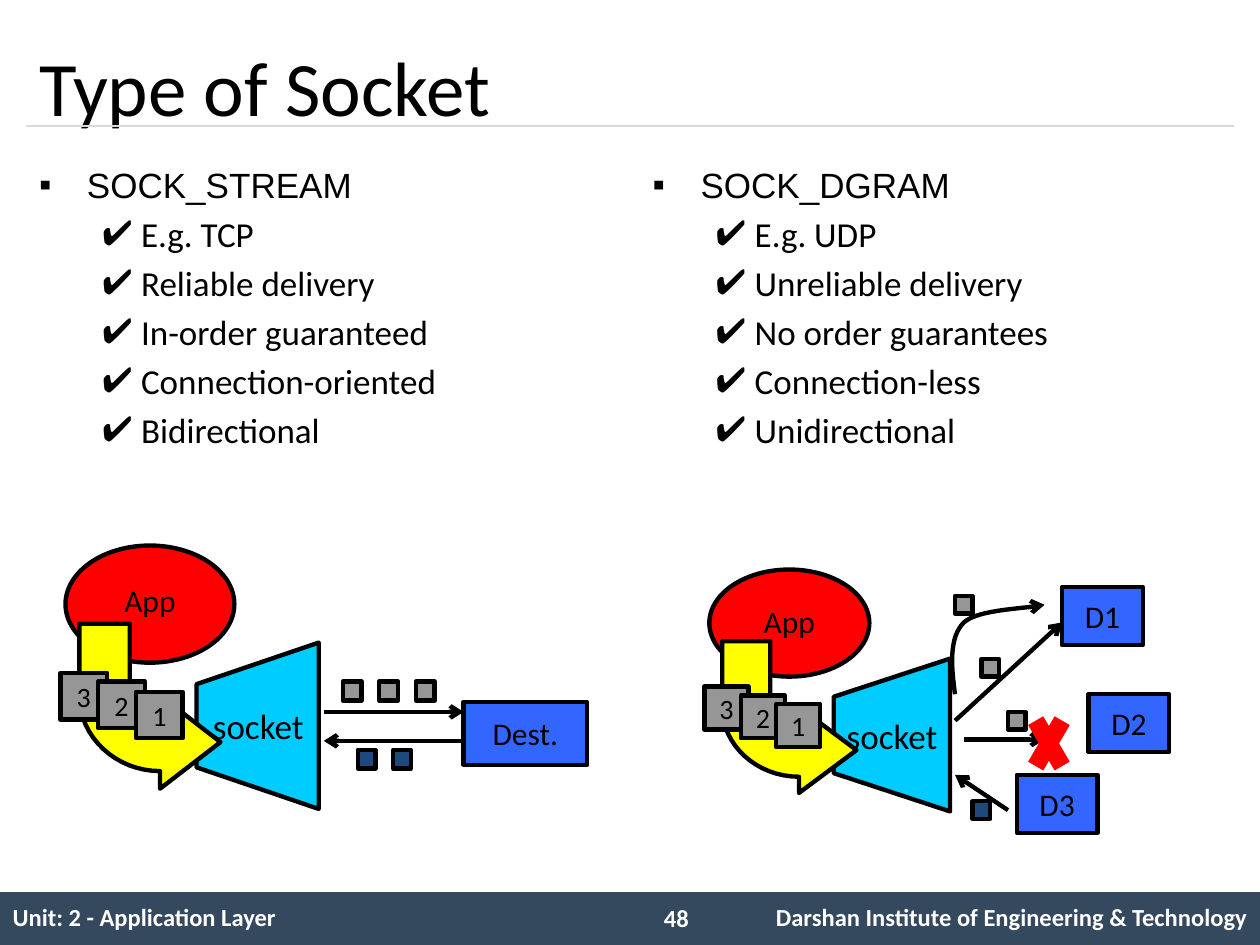
from dataclasses import dataclass
from lxml import etree
from pptx import Presentation
from pptx.dml.color import RGBColor
from pptx.enum.shapes import MSO_CONNECTOR, MSO_SHAPE
from pptx.enum.text import MSO_ANCHOR, MSO_AUTO_SIZE, PP_ALIGN
from pptx.oxml.ns import qn
from pptx.util import Pt

PX = 9144
CURVE_STEPS = 16
RECTANGLE, OVAL = MSO_SHAPE.RECTANGLE, MSO_SHAPE.OVAL
STRAIGHT = MSO_CONNECTOR.STRAIGHT
TOP, MIDDLE = MSO_ANCHOR.TOP, MSO_ANCHOR.MIDDLE
LEFT, CENTER, RIGHT = PP_ALIGN.LEFT, PP_ALIGN.CENTER, PP_ALIGN.RIGHT
NO_AUTOFIT = MSO_AUTO_SIZE.NONE
PLAIN_TABLE_STYLE = "{2D5ABB26-0587-4C30-8999-92F81FD0307C}"


@dataclass(frozen=True)
class Theme:
    black: str = "000000"
    white: str = "FFFFFF"
    footer: str = "34495E"
    rule: str = "D9D9D9"
    app: str = "FF0000"
    socket: str = "00CCFF"
    flow: str = "FFFF00"
    packet: str = "969696"
    reply: str = "1F497D"
    host: str = "3366FF"
    font: str = "Calibri"
    heading_font: str = "Arial"
    title: int = 44
    body: int = 20
    label: int = 18
    number: int = 16
    small: int = 14
    outline: float = 2.5
    hairline: float = 0.75
    cross: int = 10


THEME = Theme()


@dataclass(frozen=True)
class Box:
    left: int
    top: int
    width: int
    height: int

    def inner(self, left, top, width, height, scale=(1, 1)):
        return Box(self.left + round(left * scale[0]), self.top + round(top * scale[1]),
                   round(width * scale[0]), round(height * scale[1]))

    def point(self, x, y, scale=(1, 1)):
        return self.left + x * scale[0], self.top + y * scale[1]

    def emu(self):
        return [value * PX for value in (self.left, self.top, self.width, self.height)]


def set_values(target, values):
    for name, value in values.items():
        setattr(target, name, value)


def write(paragraph, text, size, color=THEME.black, font=THEME.font, bold=False, align=LEFT):
    run = paragraph.add_run()
    run.text = text
    set_values(run.font, {"name": font, "size": Pt(size), "bold": bold})
    run.font.color.rgb = RGBColor.from_string(color)
    paragraph.alignment = align


def set_line(line, color=THEME.black, width=THEME.outline):
    line.color.rgb = RGBColor.from_string(color)
    line.width = Pt(width)


def add_arrowhead(shape):
    line = shape.line._get_or_add_ln()
    etree.SubElement(line, qn("a:tailEnd"), type="arrow")


def paint(shape, fill, outlined=True):
    shape.shadow.inherit = False
    if fill:
        shape.fill.solid()
        shape.fill.fore_color.rgb = RGBColor.from_string(fill)
    else:
        shape.fill.background()
    if outlined:
        set_line(shape.line)
    else:
        shape.line.fill.background()


def add_block(slide, box, fill, text="", size=THEME.label, kind=RECTANGLE, outlined=True):
    shape = slide.shapes.add_shape(kind, *box.emu())
    paint(shape, fill, outlined)
    if text:
        frame = shape.text_frame
        set_values(frame, {"word_wrap": False, "vertical_anchor": MIDDLE})
        write(frame.paragraphs[0], text, size, align=CENTER)


def add_label(slide, box, text, size, anchor=TOP, **style):
    frame = slide.shapes.add_textbox(*box.emu()).text_frame
    set_values(frame, {"word_wrap": True, "vertical_anchor": anchor})
    write(frame.paragraphs[0], text, size, **style)


def add_line(slide, start, end, color=THEME.black, width=THEME.outline, arrow=False):
    line = slide.shapes.add_connector(STRAIGHT, *[round(value * PX) for value in (*start, *end)])
    set_line(line.line, color, width)
    etree.SubElement(line._element.spPr, qn("a:effectLst"))
    if arrow:
        add_arrowhead(line)


def bezier(*controls):
    points = []
    for step in range(1, CURVE_STEPS + 1):
        t = step / CURVE_STEPS
        weights = ((1 - t) ** 3, 3 * t * (1 - t) ** 2, 3 * t * t * (1 - t), t ** 3)
        points.append(tuple(sum(weight * control[axis] for weight, control in zip(weights, controls))
                            for axis in (0, 1)))
    return points


def add_outline(slide, points, fill=None, close=True):
    scaled = [(round(x * PX), round(y * PX)) for x, y in points]
    builder = slide.shapes.build_freeform(*scaled[0])
    builder.add_line_segments(scaled[1:], close=close)
    shape = builder.convert_to_shape()
    paint(shape, fill)
    return shape


def add_footer(slide, box):
    add_block(slide, box, THEME.footer, outlined=False)
    frame = slide.shapes.add_table(1, 2, *box.emu())
    table = frame.table
    set_values(table, {"first_row": False, "horz_banding": False})
    frame._element.xpath(".//a:tableStyleId")[0].text = PLAIN_TABLE_STYLE
    style = {"color": THEME.white, "bold": True}
    entries = (("Unit: 2 - Application Layer", LEFT),
               ("Darshan Institute of Engineering & Technology", RIGHT))
    for cell, (text, align) in zip(table.rows[0].cells, entries):
        cell.fill.background()
        cell.vertical_anchor = MIDDLE
        write(cell.text_frame.paragraphs[0], text, THEME.small, align=align, **style)
    add_label(slide, box.inner(517, 4, 58, 34), "48", THEME.small, **style)


def fit_placeholder(placeholder, box, anchor):
    set_values(placeholder, dict(zip(("left", "top", "width", "height"), box.emu())))
    set_values(placeholder.text_frame, {"auto_size": NO_AUTOFIT, "vertical_anchor": anchor})
    return placeholder.text_frame


def add_title(slide, box, text):
    frame = fit_placeholder(slide.shapes.title, box, MIDDLE)
    write(frame.paragraphs[0], text, THEME.title)
    rule_top = box.top + 76
    add_line(slide, (box.left, rule_top), (box.left + box.width, rule_top), THEME.rule, THEME.hairline)


def add_list(placeholder, box, heading, items):
    frame = fit_placeholder(placeholder, box, TOP)
    for index, text in enumerate((heading, *items)):
        paragraph = frame.paragraphs[0] if index == 0 else frame.add_paragraph()
        paragraph.level = min(index, 1)
        margin, indent, bullet, font = ((81, 31, "✔", THEME.font) if index
                                        else (38, 38, "▪", THEME.heading_font))
        properties = paragraph._p.get_or_add_pPr()
        properties.set("marL", str(margin * PX))
        properties.set("indent", str(-indent * PX))
        etree.SubElement(properties, qn("a:buFont"), typeface=THEME.heading_font)
        etree.SubElement(properties, qn("a:buChar"), char=bullet)
        paragraph.space_before = Pt(4 if index else 0)
        write(paragraph, text, THEME.body, font=font)


def add_source(slide, box):
    scale = box.width / 205, box.height / 209

    def area(*values):
        return box.inner(*values, scale)

    def points(pairs):
        return [box.point(x, y, scale) for x, y in pairs]

    add_block(slide, area(4, 0, 134, 93), THEME.app, kind=OVAL)
    add_label(slide, area(0, 23, 142, 46), "App", THEME.label, align=CENTER)
    add_outline(slide, points([(205, 77), (108, 110), (108, 176), (205, 209)]), THEME.socket)
    add_label(slide, area(75, 123, 164, 40), "socket", THEME.body, MIDDLE, align=CENTER)
    flow = [(127, 156), (79, 193), (79, 179),
            *bezier((79, 179), (44, 179), (15, 152), (15, 119)),
            (15, 62), (55, 62), (55, 119),
            *bezier((55, 119), (55, 127), (66, 133), (79, 133)), (79, 119)]
    add_outline(slide, points(flow), THEME.flow)
    for index, number in enumerate("321"):
        add_block(slide, area(30 * index, 101 + 7.5 * index, 37, 37), THEME.packet, number, THEME.number)


def add_stream(slide, box):
    for index in range(3):
        add_block(slide, box.inner(15 + 29 * index, 0, 15, 15), THEME.packet)
    add_line(slide, box.point(0, 24), box.point(111, 24), arrow=True)
    add_block(slide, box.inner(111, 16, 98, 50), THEME.host, "Dest.")
    add_line(slide, box.point(111, 47), box.point(0, 47), arrow=True)
    for index in range(2):
        add_block(slide, box.inner(27 + 28 * index, 54, 14, 15), THEME.reply)


def add_datagrams(slide, box):
    for index, top in enumerate((7, 57, 99)):
        add_block(slide, box.inner(5 + 21 * index, top, 14, 14), THEME.packet)
    for start, end in (((5, 106), (90, 28)), ((12, 121), (76, 121)), ((47, 177), (5, 149))):
        add_line(slide, box.point(*start), box.point(*end), arrow=True)
    for left, top, name in ((90, 0, "D1"), (54, 149, "D3"), (111, 85, "D2")):
        add_block(slide, box.inner(left, top, 64, 46), THEME.host, name)
    curve = [(5, 85), *bezier((5, 85), (2, 63), (0, 40), (12, 28)),
             *bezier((12, 28), (24, 17), (65, 17), (76, 14))]
    add_arrowhead(add_outline(slide, [box.point(*pair) for pair in curve], close=False))
    for start, end in ((69, 90), (90, 69)):
        add_line(slide, box.point(start, 106), box.point(end, 142), THEME.app, THEME.cross)
    add_block(slide, box.inner(19, 170, 14, 14), THEME.reply)


def main():
    presentation = Presentation()
    set_values(presentation, {"slide_width": 1000 * PX, "slide_height": 750 * PX})
    slide = presentation.slides.add_slide(presentation.slide_layouts[3])
    add_footer(slide, Box(0, 708, 1000, 42))
    add_title(slide, Box(21, 24, 958, 88), "Type of Socket")
    add_list(slide.placeholders[1], Box(21, 125, 471, 567), "SOCK_STREAM",
             ("E.g. TCP", "Reliable delivery", "In-order guaranteed", "Connection-oriented", "Bidirectional"))
    add_list(slide.placeholders[2], Box(508, 125, 471, 567), "SOCK_DGRAM",
             ("E.g. UDP", "Unreliable delivery", "No order guarantees", "Connection-less", "Unidirectional"))
    add_source(slide, Box(48, 433, 205, 209))
    add_stream(slide, Box(257, 541, 209, 69))
    add_source(slide, Box(559, 452, 195, 192))
    add_datagrams(slide, Box(753, 466, 175, 195))
    presentation.save("out.pptx")


if __name__ == "__main__":
    main()
